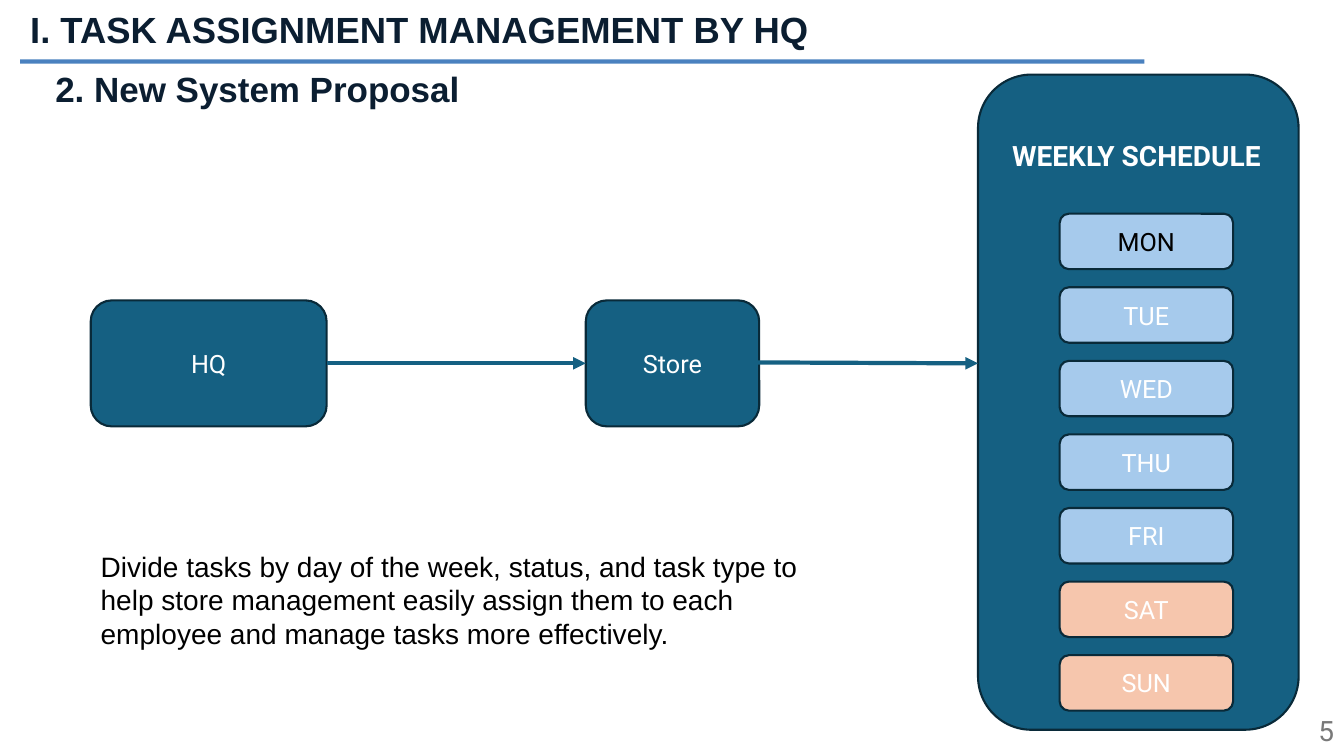
from lxml import etree
from pptx import Presentation
from pptx.dml.color import RGBColor
from pptx.enum.shapes import MSO_CONNECTOR, MSO_SHAPE
from pptx.enum.text import MSO_ANCHOR as ANCHOR, MSO_AUTO_SIZE as AUTO, PP_ALIGN as ALIGN
from pptx.oxml.ns import qn
from pptx.util import Inches, Pt

NAVY = RGBColor(0x0B, 0x1E, 0x31)
TEAL = RGBColor(0x15, 0x60, 0x82)
OUTLINE = RGBColor(0x09, 0x2A, 0x39)
RULE_BLUE = RGBColor(0x23, 0x66, 0xB1)
WEEKDAY = RGBColor(0xA6, 0xCA, 0xEC)
WEEKEND = RGBColor(0xF6, 0xC6, 0xAD)
GREY = RGBColor(0x79, 0x79, 0x79)
WHITE = RGBColor(0xFF, 0xFF, 0xFF)
BLACK = RGBColor(0, 0, 0)

DAYS = ["MON", "TUE", "WED", "THU", "FRI", "SAT", "SUN"]


def write(sp, text, size, color, font="Arial", bold=False,
          align=ALIGN.LEFT, anchor=ANCHOR.TOP):
    tf = sp.text_frame
    tf.text = text
    tf.word_wrap = True
    tf.auto_size = AUTO.NONE
    tf.vertical_anchor = anchor
    p = tf.paragraphs[0]
    p.alignment = align
    f = p.runs[0].font
    f.name, f.size, f.bold = font, Pt(size), bold
    f.color.rgb = color


def add_text(s, box, text, size, color, **style):
    sp = s.shapes.add_textbox(*map(Inches, box))
    write(sp, text, size, color, **style)


def add_box(s, box, fill, text="", color=WHITE):
    sp = s.shapes.add_shape(MSO_SHAPE.ROUNDED_RECTANGLE, *map(Inches, box))
    sp.shadow.inherit = False
    sp.fill.solid()
    sp.fill.fore_color.rgb = fill
    sp.line.color.rgb = OUTLINE
    sp.line.width = Pt(1.5)
    if text:
        write(sp, text, 18, color, font="Roboto", align=ALIGN.CENTER,
              anchor=ANCHOR.MIDDLE)


def add_line(s, start, end, color):
    line = s.shapes.add_connector(MSO_CONNECTOR.STRAIGHT,
                                  *map(Inches, (*start, *end)))
    line.line.color.rgb = color
    line.line.width = Pt(3)
    etree.SubElement(line._element.spPr, qn("a:effectLst"))
    return line


def add_arrow(s, start, end):
    ln = add_line(s, start, end, TEAL).line._get_or_add_ln()
    etree.SubElement(ln, qn("a:tailEnd"), type="triangle")


def add_heading(s, left, top, width):
    """Title, translucent rule under it, and subtitle."""
    title = s.shapes.title
    title.left, title.top = Inches(left), Inches(top)
    title.width, title.height = Inches(width), Inches(0.54)
    write(title, "I. TASK ASSIGNMENT MANAGEMENT\u00a0BY HQ".replace("\u00a0", " "),
          26, NAVY, bold=True)
    rule_y = top + 0.59
    rule = add_line(s, (left, rule_y), (left + 11.15, rule_y), RULE_BLUE)
    rgb = rule.line._get_or_add_ln().find(".//" + qn("a:srgbClr"))
    etree.SubElement(rgb, qn("a:alpha"), val="82000")
    add_text(s, (left + 0.25, top + 0.6, 7.88, 0.98),
             "2. New System Proposal", 25, NAVY, bold=True)


def add_schedule(s, left, top, width, height):
    add_box(s, (left, top, width, height), TEAL)
    add_text(s, (left + 0.24, top + 0.59, width, 0.44), "WEEKLY SCHEDULE",
             20, WHITE, font="Roboto", bold=True)
    for i, day in enumerate(DAYS):
        add_box(s, (left + 0.81, top + 1.38 + i * 0.73, 1.72, 0.55),
                WEEKEND if day in ("SAT", "SUN") else WEEKDAY, day,
                BLACK if day == "MON" else WHITE)


def add_flow(s, left, top, schedule_left):
    """HQ and Store boxes, with arrows leading to the schedule."""
    height = 1.25
    middle = top + height / 2
    hq_right, store_left = left + 2.34, left + 4.91
    add_box(s, (left, top, 2.34, height), TEAL, "HQ")
    add_box(s, (store_left, top, 1.72, height), TEAL, "Store")
    add_arrow(s, (hq_right, middle), (store_left, middle))
    add_arrow(s, (store_left + 1.57, middle - 0.01), (schedule_left, middle))


def main():
    prs = Presentation()
    prs.slide_width, prs.slide_height = Inches(13.33), Inches(7.5)
    s = prs.slides.add_slide(prs.slide_layouts[5])
    add_schedule(s, 9.7, 0.74, 3.18, 6.5)
    add_heading(s, 0.2, 0.02, 8.34)
    add_flow(s, 0.9, 2.98, 9.7)
    add_text(s, (0.9, 5.4, 7.45, 1.11),
             "Divide tasks by day of the week, status, and task type to help "
             "store management easily assign them to each employee and manage "
             "tasks more effectively.", 20, BLACK)
    add_text(s, (10.33, 7.05, 3, 0.4), "5", 20, GREY, font="Roboto",
             align=ALIGN.RIGHT, anchor=ANCHOR.MIDDLE)
    prs.save("out.pptx")


if __name__ == "__main__":
    main()
